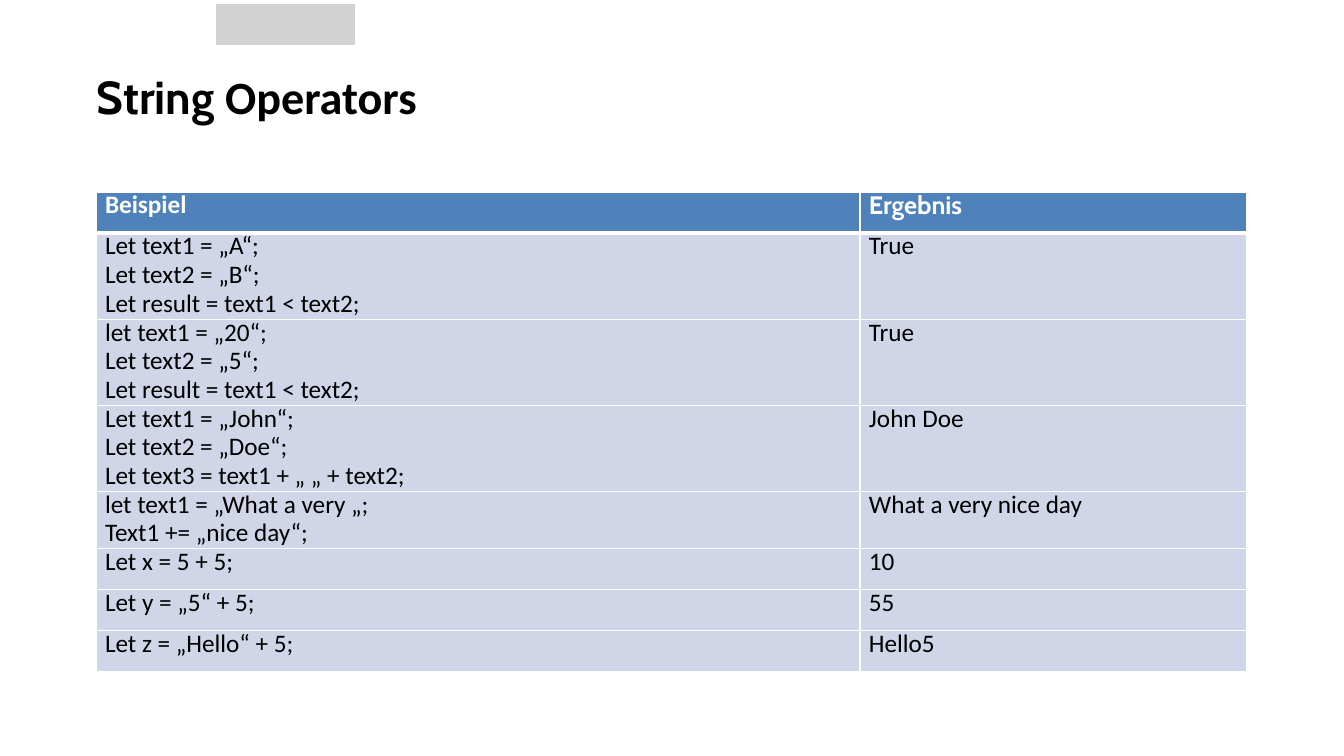
from dataclasses import dataclass

from pptx import Presentation
from pptx.dml.color import RGBColor
from pptx.enum.shapes import MSO_SHAPE
from pptx.enum.text import MSO_ANCHOR
from pptx.oxml.ns import qn
from pptx.util import Emu, Pt
from lxml import etree

RECTANGLE = MSO_SHAPE.RECTANGLE
TOP = MSO_ANCHOR.TOP
MIDDLE = MSO_ANCHOR.MIDDLE


@dataclass(frozen=True)
class Theme:
    black: str = "000000"
    white: str = "FFFFFF"
    gray: str = "D3D2D2"
    header: str = "4F81BB"
    body: str = "D0D6E8"
    font: str = "Calibri"
    accent_font: str = "Cabin"
    title_size: float = 33
    table_size: float = 18
    leading: float = 20.5
    thin: int = 1
    thick: int = 3


THEME = Theme()

ROWS = [
    ("Beispiel", "Ergebnis"),
    ("Let text1 = „A“;\nLet text2 = „B“;\nLet result = text1 < text2;", "True"),
    ("let text1 = „20“;\nLet text2 = „5“;\nLet result = text1 < text2;", "True"),
    ("Let text1 = „John“;\nLet text2 = „Doe“;\nLet text3 = text1 + „ „ + text2;", "John Doe"),
    ("let text1 = „What a very „;\nText1 += „nice day“;", "What a very nice day"),
    ("Let x = 5 + 5;", "10"),
    ("Let y = „5“ + 5;", "55"),
    ("Let z = „Hello“ + 5;", "Hello5"),
]
COLUMN_WIDTHS = (764, 387)
ROW_HEIGHT = 41
CELL_INDENT = 9


def px(n):
    return Emu(round(n * 914400 / 100.8))


def rgb(color):
    return RGBColor.from_string(color)


def style_run(r, size, font, color, bold):
    r.font.size = Pt(size)
    r.font.name = font
    r.font.bold = bold
    r.font.color.rgb = rgb(color)


def add_block(s, x, y, w, h, color):
    block = s.shapes.add_shape(RECTANGLE, px(x), px(y), px(w), px(h))
    block.shadow.inherit = False
    block.fill.solid()
    block.fill.fore_color.rgb = rgb(color)
    block.line.fill.background()


def add_title(s, x, y, w, h, parts):
    tf = s.shapes.add_textbox(px(x), px(y), px(w), px(h)).text_frame
    tf.word_wrap = True
    tf.vertical_anchor = MIDDLE
    tf.margin_left = tf.margin_right = tf.margin_bottom = 0
    tf.margin_top = px(1)
    p = tf.paragraphs[0]
    p.space_before = Pt(1)
    p._p.get_or_add_pPr().set("marL", str(px(1)))
    for text, font in parts:
        r = p.add_run()
        r.text = text
        style_run(r, THEME.title_size, font, THEME.black, True)


def set_borders(cell, widths):
    tcPr = cell._tc.get_or_add_tcPr()
    for i, (side, width) in enumerate(widths.items()):
        ln = etree.Element(qn(f"a:ln{side}"), w=str(Pt(width)))
        fill = etree.SubElement(ln, qn("a:solidFill"))
        etree.SubElement(fill, qn("a:srgbClr"), val=THEME.white)
        tcPr.insert(i, ln)


def fill_cell(cell, text, row, font):
    header = row == 0
    cell.margin_left = cell.margin_right = 0
    cell.margin_top = cell.margin_bottom = 0
    cell.vertical_anchor = TOP
    cell.fill.solid()
    cell.fill.fore_color.rgb = rgb(THEME.header if header else THEME.body)
    set_borders(cell, {
        "L": THEME.thin,
        "R": THEME.thin,
        "T": THEME.thick if row == 1 else THEME.thin,
        "B": THEME.thick if header else THEME.thin,
    })
    cell.text_frame.text = text
    for p in cell.text_frame.paragraphs:
        p.line_spacing = Pt(THEME.leading)
        p._p.get_or_add_pPr().set("marL", str(px(CELL_INDENT)))
        for r in p.runs:
            style_run(r, THEME.table_size, font,
                      THEME.white if header else THEME.black, header)


def add_operator_table(s, x, y):
    width, height = sum(COLUMN_WIDTHS), ROW_HEIGHT * len(ROWS)
    table = s.shapes.add_table(len(ROWS), len(COLUMN_WIDTHS),
                               px(x), px(y), px(width), px(height)).table
    table.horz_banding = False
    for column, w in zip(table.columns, COLUMN_WIDTHS):
        column.width = px(w)
    for i, texts in enumerate(ROWS):
        table.rows[i].height = px(ROW_HEIGHT)
        for j, text in enumerate(texts):
            font = THEME.accent_font if (i, j) == (0, 1) else THEME.font
            fill_cell(table.cell(i, j), text, i, font)


def main():
    prs = Presentation()
    prs.slide_width, prs.slide_height = px(1344), px(756)
    s = prs.slides.add_slide(prs.slide_layouts[6])
    add_block(s, 216, 4, 139, 41, THEME.gray)
    add_title(s, 96, 67, 529, 57,
              [("String", THEME.accent_font), (" Operators", THEME.font)])
    add_operator_table(s, 96, 192)
    prs.save("out.pptx")


if __name__ == "__main__":
    main()
